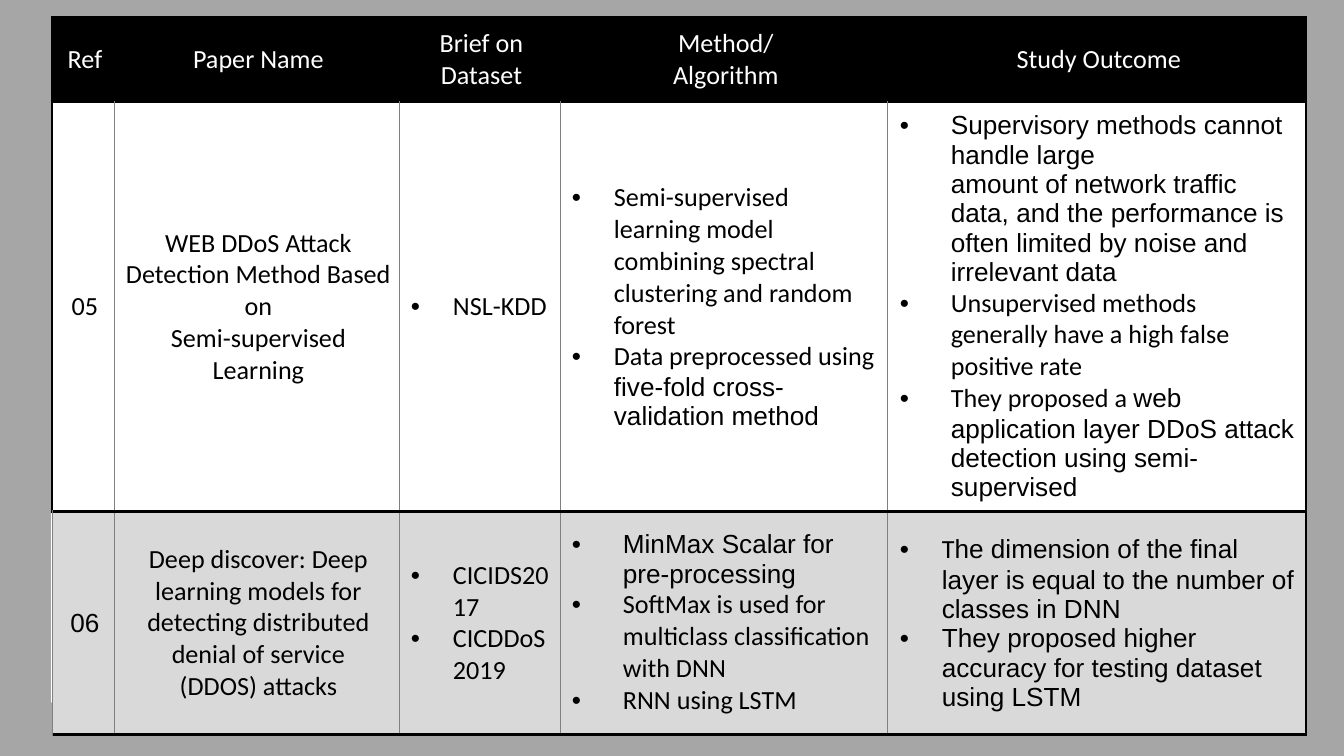
from lxml import etree
from pptx import Presentation
from pptx.dml.color import RGBColor
from pptx.enum.shapes import MSO_SHAPE
from pptx.enum.text import MSO_ANCHOR, PP_ALIGN
from pptx.oxml.ns import qn
from pptx.util import Emu, Pt

RECTANGLE = MSO_SHAPE.RECTANGLE
MIDDLE = MSO_ANCHOR.MIDDLE
CENTER, LEFT = PP_ALIGN.CENTER, PP_ALIGN.LEFT
PX = 914400 / 134.4

BLACK, WHITE = "000000", "FFFFFF"
BACKDROP, SHADED = "A6A6A6", "D9D9D9"
THICK, THIN = (BLACK, 1.5), ("808080", 0.5)
CALIBRI, ARIAL = "Calibri", "Arial"
NARROW, WIDE = 42, 51


def px(length):
    return Emu(round(length * PX))


def color(code):
    return RGBColor.from_string(code)


class Deck:
    size = Pt(14)
    margins = (12, 9, 8, 9)

    def __init__(self, width, height):
        self.prs = Presentation()
        self.prs.slide_width, self.prs.slide_height = px(width), px(height)
        self.slide = self.prs.slides.add_slide(self.prs.slide_layouts[6])

    def rect(self, x, y, w, h, fill=None, line=None):
        shape = self.slide.shapes.add_shape(RECTANGLE, px(x), px(y), px(w), px(h))
        shape.shadow.inherit = False
        if fill:
            shape.fill.solid()
            shape.fill.fore_color.rgb = color(fill)
        else:
            shape.fill.background()
        if line:
            shape.line.color.rgb = color(line)
            shape.line.width = Pt(1)
        else:
            shape.line.fill.background()

    def table(self, x, y, widths, heights):
        frame = self.slide.shapes.add_table(
            len(heights), len(widths), px(x), px(y), px(sum(widths)), px(sum(heights)))
        table = frame.table
        table.first_row = table.horz_banding = False
        for column, width in zip(table.columns, widths):
            column.width = px(width)
        for row, height in zip(table.rows, heights):
            row.height = px(height)
        return table

    def cell(self, cell, paragraphs, ink, fill, borders, indent=0):
        cell.vertical_anchor = MIDDLE
        cell.margin_left, cell.margin_top, cell.margin_right, cell.margin_bottom = map(
            px, self.margins)
        cell.fill.solid()
        cell.fill.fore_color.rgb = color(fill)
        self.borders(cell, borders)
        frame = cell.text_frame
        for index, runs in enumerate(paragraphs):
            paragraph = frame.add_paragraph() if index else frame.paragraphs[0]
            paragraph.alignment = LEFT if indent else CENTER
            if indent:
                self.bullet(paragraph, indent)
            for text, font in runs:
                self.run(paragraph, text, font, ink)

    def run(self, paragraph, text, font, ink):
        for index, line in enumerate(text.split("\n")):
            if index:
                paragraph.add_line_break()
            run = paragraph.add_run()
            run.text = line
            run.font.name = font
            run.font.size = self.size
            run.font.bold = False
            run.font.color.rgb = color(ink)

    def bullet(self, paragraph, indent):
        props = paragraph._p.get_or_add_pPr()
        props.set("marL", str(px(indent)))
        props.set("indent", str(-px(indent)))
        tint = etree.SubElement(props, qn("a:buClr"))
        etree.SubElement(tint, qn("a:srgbClr"), val=BLACK)
        etree.SubElement(props, qn("a:buFont"), typeface=ARIAL)
        etree.SubElement(props, qn("a:buChar"), char="•")

    def borders(self, cell, borders):
        props = cell._tc.get_or_add_tcPr()
        for index, (side, (tint, width)) in enumerate(zip("LRTB", borders)):
            line = etree.Element(qn(f"a:ln{side}"), w=str(Pt(width)))
            fill = etree.SubElement(line, qn("a:solidFill"))
            etree.SubElement(fill, qn("a:srgbClr"), val=tint)
            props.insert(index, line)


def plain(*texts, font=CALIBRI):
    return [[(text, font)] for text in texts]


HEADERS = [
    plain("Ref"), plain("Paper Name"), plain("Brief on Dataset"),
    plain("Method/", "Algorithm"), plain("Study Outcome"),
]
PAPER_05 = [
    (plain("05"), 0),
    (plain("WEB DDoS Attack Detection Method Based on\nSemi-supervised Learning"), 0),
    (plain("NSL-KDD"), NARROW),
    (plain("Semi-supervised learning model combining spectral clustering and random forest")
     + [[("Data preprocessed using ", CALIBRI),
         ("five-fold cross-validation method", ARIAL)]], NARROW),
    (plain("Supervisory methods cannot handle large\namount of network traffic data, and the "
           "performance is often limited by noise and irrelevant data", font=ARIAL)
     + plain("Unsupervised methods generally have a high false positive rate")
     + [[("They proposed a ", CALIBRI),
         ("web application layer DDoS attack detection using semi-supervised", ARIAL)]], WIDE),
]
PAPER_06 = [
    (plain("06", font=ARIAL), 0),
    (plain("Deep discover: Deep learning models for\ndetecting distributed denial of service\n"
           "(DDOS) attacks"), 0),
    (plain("CICIDS2017", "CICDDoS2019"), NARROW),
    (plain("MinMax Scalar for pre-processing", font=ARIAL)
     + plain("SoftMax is used for multiclass classification with DNN", "RNN using LSTM"), WIDE),
    ([[("T", CALIBRI),
       ("he dimension of the final layer is equal to the number of classes in DNN", ARIAL)]]
     + plain("They proposed higher accuracy for testing dataset using LSTM", font=ARIAL), NARROW),
]


def main():
    deck = Deck(1344, 756)
    deck.rect(0, 0, 1344, 756, fill=BACKDROP)
    deck.rect(52, 52, 1239, 650, line=WHITE)
    deck.rect(71, 71, 1202, 614, fill=WHITE)

    review = deck.table(52, 17, [62, 285, 161, 328, 418], [85, 398, 223])
    for column, title in enumerate(HEADERS):
        deck.cell(review.cell(0, column), title, WHITE, BLACK, [THICK] * 4)
    last = len(HEADERS) - 1
    for row, (paper, fill) in enumerate([(PAPER_05, WHITE), (PAPER_06, SHADED)], 1):
        for column, (paragraphs, indent) in enumerate(paper):
            left = THICK if (row, column) == (1, 0) else THIN
            right = THICK if column == last else THIN
            deck.cell(review.cell(row, column), paragraphs, BLACK, fill,
                      [left, right, THICK, THICK], indent)
    deck.prs.save("out.pptx")


if __name__ == "__main__":
    main()
